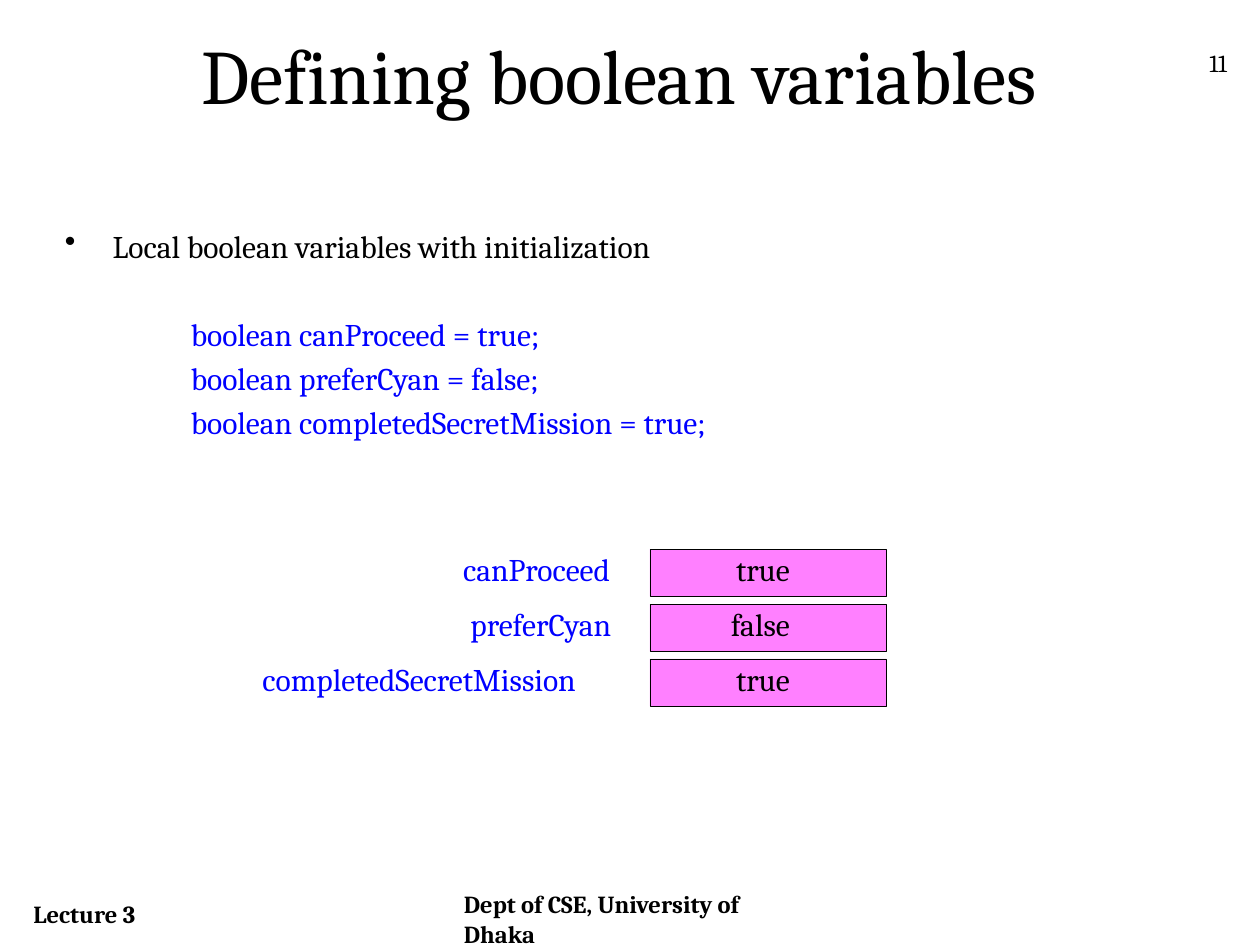
from lxml import etree
from pptx import Presentation
from pptx import util as u
from pptx.dml.color import RGBColor
from pptx.enum import shapes, text
from pptx.oxml import ns

BLACK = RGBColor(0x00, 0x00, 0x00)
BLUE = RGBColor(0x00, 0x00, 0xFF)
PINK = RGBColor(0xFF, 0x80, 0xFF)


class VariablesSlide:
    font_name = "Cambria"
    columns, rows = 120, 90

    def __init__(self, presentation):
        self.presentation = presentation
        self.slide = presentation.slides.add_slide(presentation.slide_layouts[6])

    def area(self, column, row, width, height):
        cell_width = self.presentation.slide_width / self.columns
        cell_height = self.presentation.slide_height / self.rows
        return (
            round(column * cell_width),
            round(row * cell_height),
            round(width * cell_width),
            round(height * cell_height),
        )

    def style(self, paragraph, size, color=BLACK, bold=False):
        for run in paragraph.runs:
            run.font.name = self.font_name
            run.font.size = u.Pt(size)
            run.font.color.rgb = color
            run.font.bold = bold

    def text_box(self, content, area, size, bold=False, align=text.PP_ALIGN.LEFT):
        text_frame = self.slide.shapes.add_textbox(*self.area(*area)).text_frame
        text_frame.word_wrap = True
        text_frame.text = content
        text_frame.paragraphs[0].alignment = align
        self.style(text_frame.paragraphs[0], size, bold=bold)
        return text_frame

    def indent(self, paragraph, margin, first_line, bullet=None):
        properties = paragraph._p.get_or_add_pPr()
        properties.set("marL", str(u.Inches(margin)))
        properties.set("indent", str(u.Inches(first_line)))
        if bullet:
            etree.SubElement(properties, ns.qn("a:buChar"), char=bullet)
        else:
            etree.SubElement(properties, ns.qn("a:buNone"))

    def code_list(self, heading, code_lines, area):
        text_frame = self.text_box(heading, area, 18)
        self.indent(text_frame.paragraphs[0], 0.38, -0.38, "•")
        for index, line in enumerate(code_lines):
            paragraph = text_frame.add_paragraph()
            paragraph.text = line
            self.indent(paragraph, 1.25, -0.25)
            paragraph.space_before = u.Pt(3.6 if index else 28.6)
            self.style(paragraph, 18, BLUE)

    def label(self, content, area, color):
        text_frame = self.text_box(content, area, 18)
        text_frame.margin_left = text_frame.margin_right = 0
        text_frame.margin_top = text_frame.margin_bottom = 0
        text_frame.word_wrap = False
        text_frame.auto_size = text.MSO_AUTO_SIZE.SHAPE_TO_FIT_TEXT
        self.style(text_frame.paragraphs[0], 18, color)

    def memory_cell(self, area):
        shape = self.slide.shapes.add_shape(
            shapes.MSO_SHAPE.RECTANGLE, *self.area(*area)
        )
        shape.shadow.inherit = False
        shape.fill.solid()
        shape.fill.fore_color.rgb = PINK
        shape.line.color.rgb = BLACK
        shape.line.width = u.Pt(0.25)

    def variable(self, row, name, name_column, name_width, value, value_column, value_width):
        self.memory_cell((61.9, row, 22.5, 4.5))
        self.label(value, (value_column, row + 0.1, value_width, 3.6), BLACK)
        self.label(name, (name_column, row + 0.1, name_width, 3.6), BLUE)


def main():
    presentation = Presentation()
    presentation.slide_width = u.Inches(10)
    presentation.slide_height = u.Inches(7.5)
    page = VariablesSlide(presentation)

    page.text_box("Lecture 3", (2, 85, 24, 4), 14, bold=True)
    page.text_box("11", (114, 4, 5, 4.8), 14)
    page.text_box(
        "Defining boolean variables", (5, 2, 108, 16), 44, align=text.PP_ALIGN.CENTER
    )
    page.code_list(
        "Local boolean variables with initialization",
        [
            "boolean canProceed = true;",
            "boolean preferCyan = false;",
            "boolean completedSecretMission = true;",
        ],
        (5, 21, 108, 67),
    )

    variables = [
        ("canProceed", 44.1, 15, "true", 70.1, 5.4),
        ("preferCyan", 44.8, 14.3, "false", 69.6, 6),
        ("completedSecretMission", 25, 31.7, "true", 70.1, 5.4),
    ]
    for index, variable in enumerate(variables):
        page.variable(52.3 + index * 5.23, *variable)

    page.text_box("Dept of CSE, University of Dhaka", (43, 84.1, 34, 4.8), 14, bold=True)
    presentation.save("out.pptx")


if __name__ == "__main__":
    main()
